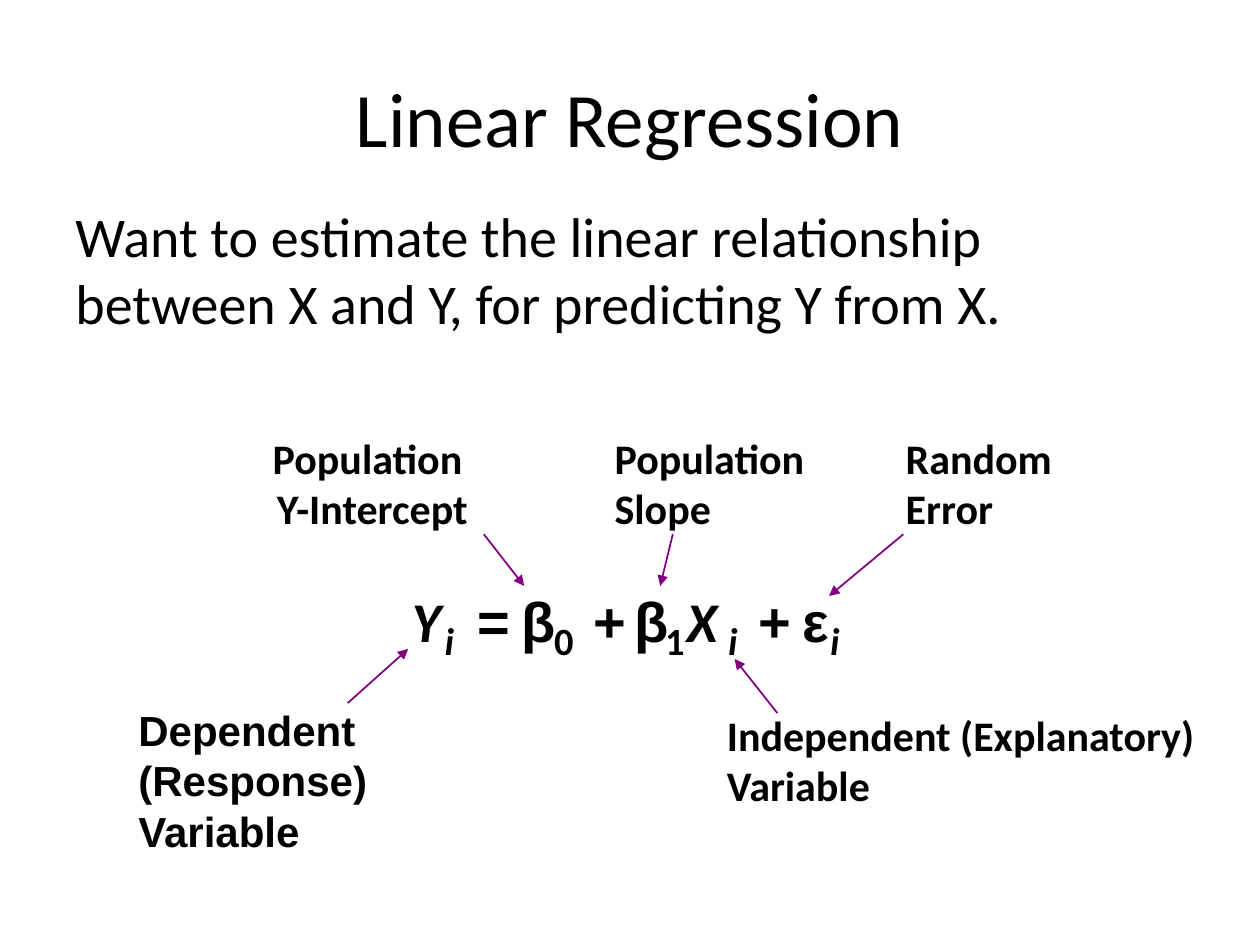
import pptx
import pptx.util
import pptx.dml.color
import pptx.enum.shapes
import pptx.enum.text
import pptx.oxml
import pptx.oxml.ns

Inches = pptx.util.Inches
ALIGN = pptx.enum.text.PP_ALIGN
FIT = pptx.enum.text.MSO_AUTO_SIZE
ANCHOR = pptx.enum.text.MSO_ANCHOR
BLACK = pptx.dml.color.RGBColor(0x00, 0x00, 0x00)
PURPLE = pptx.dml.color.RGBColor(0x80, 0x00, 0x80)


def style(shape, text, size, name="Calibri", align=ALIGN.LEFT,
          bold=False, italic=False, **frame):
    """Fill a shape with one paragraph; frame holds text frame values."""
    body = shape.text_frame
    body.text = text
    for key, value in frame.items():
        setattr(body, key, value)
    para = body.paragraphs[0]
    para.alignment = align
    form = dict(name=name, size=pptx.util.Pt(size), bold=bold, italic=italic)
    for run in para.runs:
        for key, value in form.items():
            setattr(run.font, key, value)
        run.font.color.rgb = BLACK


def add_text(slide, box, text, size, **form):
    shape = slide.shapes.add_textbox(*map(Inches, box))
    style(shape, text, size, **form)


def add_title(slide, box, text):
    title = slide.shapes.title
    for key, value in zip(("left", "top", "width", "height"), box):
        setattr(title, key, Inches(value))
    style(title, text, 44, align=ALIGN.CENTER,
          vertical_anchor=ANCHOR.MIDDLE)


def add_formula(slide, box):
    """Set main symbols on the top line and subscripts below it."""
    left, top = box[:2]
    main = dict(size=32, drop=0, height=0.64)
    sub = dict(size=22, drop=0.24, height=0.47)
    signs = [
        ("Y", 0, 0.43, main), ("i", 0.26, 0.28, sub),
        ("=", 0.52, 0.45, main), ("β", 0.87, 0.45, main),
        ("0", 1.13, 0.36, sub), ("+", 1.44, 0.45, main),
        ("β", 1.77, 0.45, main), ("1", 2.01, 0.36, sub),
        ("X", 2.18, 0.45, main), ("i", 2.51, 0.28, sub),
        ("+", 2.75, 0.45, main), ("ε", 3.1, 0.4, main),
        ("i", 3.32, 0.28, sub),
    ]
    for sign, shift, width, kind in signs:
        spot = (left + shift, top + kind["drop"], width, kind["height"])
        add_text(slide, spot, sign, kind["size"], bold=True,
                 name="Arial" if sign in "=+βε" else "Calibri",
                 italic=sign in "YXi", word_wrap=False,
                 auto_size=FIT.SHAPE_TO_FIT_TEXT)


def add_arrow(slide, start, end):
    line = slide.shapes.add_connector(
        pptx.enum.shapes.MSO_CONNECTOR.STRAIGHT, *map(Inches, start + end))
    line.line.color.rgb = PURPLE
    line.line.width = pptx.util.Pt(1)
    tip = pptx.oxml.parse_xml(
        f'<a:tailEnd {pptx.oxml.ns.nsdecls("a")} type="triangle"/>')
    line.line._get_or_add_ln().append(tip)
    flat = pptx.oxml.parse_xml(
        f'<a:effectLst {pptx.oxml.ns.nsdecls("a")}/>')
    line._element.spPr.append(flat)


def add_label(slide, box, text, start, end, **form):
    """Name one term; the arrow runs between offsets from the box corner."""
    left, top = box[:2]
    add_text(slide, box, text, 24, bold=True, word_wrap=True,
             auto_size=FIT.SHAPE_TO_FIT_TEXT, **form)
    add_arrow(slide, (left + start[0], top + start[1]),
              (left + end[0], top + end[1]))


def main():
    deck = pptx.Presentation()
    deck.slide_width, deck.slide_height = Inches(10), Inches(7.5)
    slide = deck.slides.add_slide(deck.slide_layouts[5])
    add_title(slide, (0.5, 0.3, 9, 1.25), "Linear Regression")
    add_text(slide, (0.5, 1.55, 8.92, 5.05),
             "Want to estimate the linear relationship between X and Y, "
             "for predicting Y from X.", 32, word_wrap=True)
    add_formula(slide, (3.17, 4.61, 3.6, 0.71))

    add_label(slide, (1, 5.54, 2.41, 1.31), "Dependent (Response) Variable",
              (1.76, 0.04), (2.24, -0.39), name="Arial")
    add_label(slide, (5.67, 5.58, 4.08, 0.91),
              "Independent (Explanatory) Variable",
              (0.5, 0.08), (0.16, -0.35))
    top, high = 3.38, 0.91
    add_label(slide, (1.75, top, 2.41, high), "Population \vY-Intercept",
              (2.09, 0.86), (2.41, 1.27), align=ALIGN.CENTER)
    add_label(slide, (4.78, top, 1.97, high), "Population Slope",
              (0.56, 0.86), (0.46, 1.27))
    add_label(slide, (7.09, top, 1.74, high), "Random Error",
              (0.08, 0.86), (-0.51, 1.35))
    deck.save("out.pptx")


if __name__ == "__main__":
    main()
